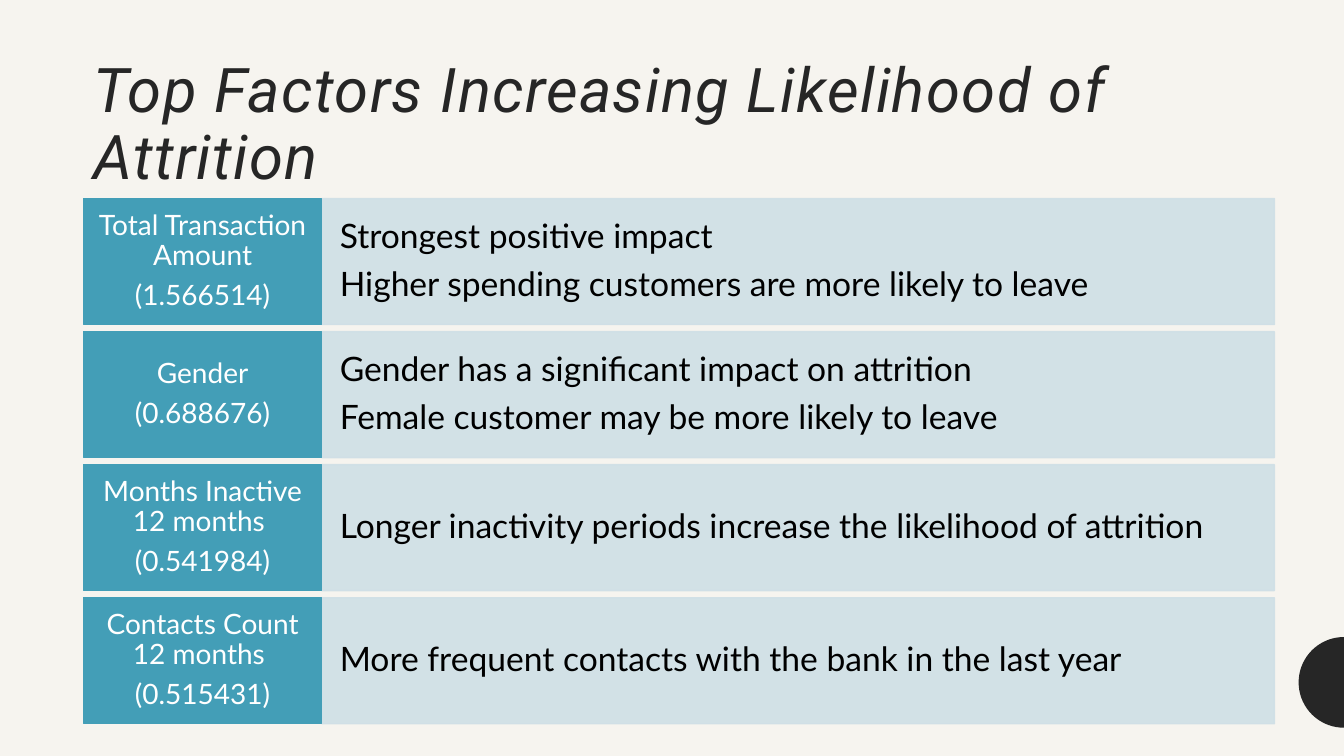
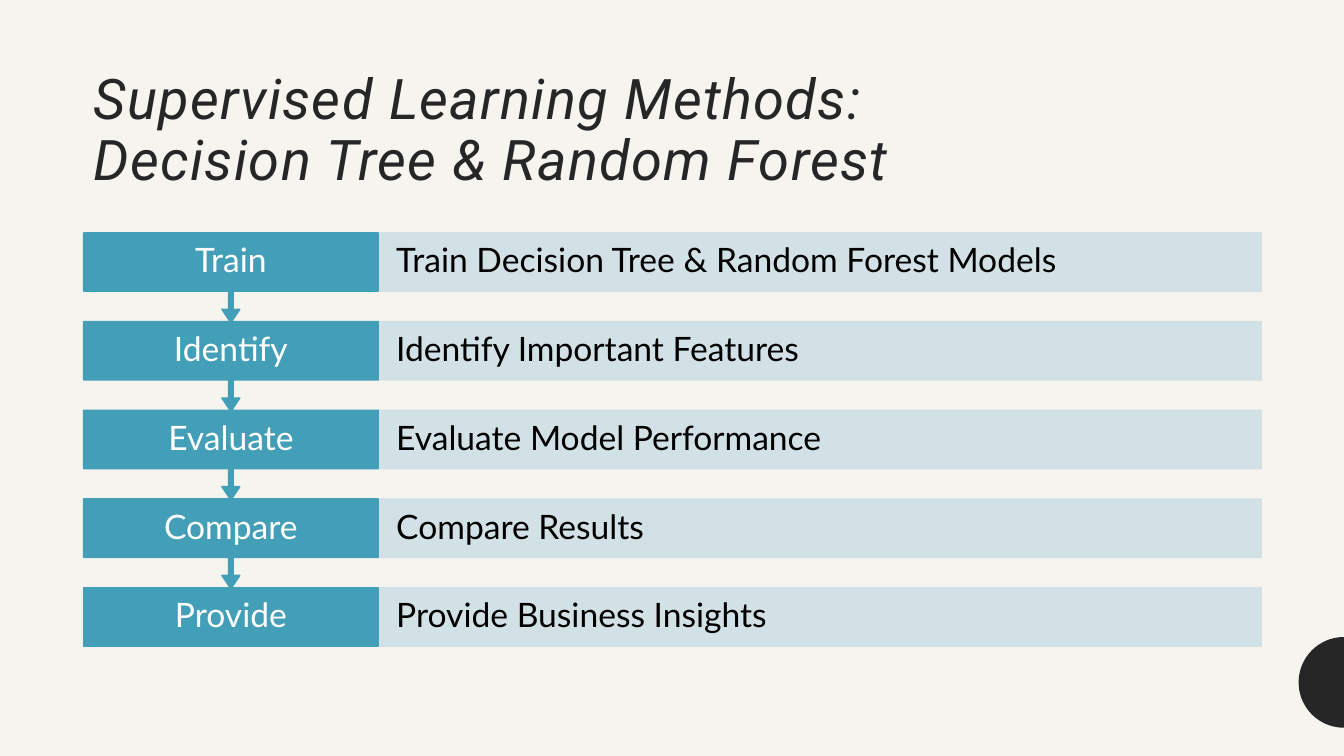
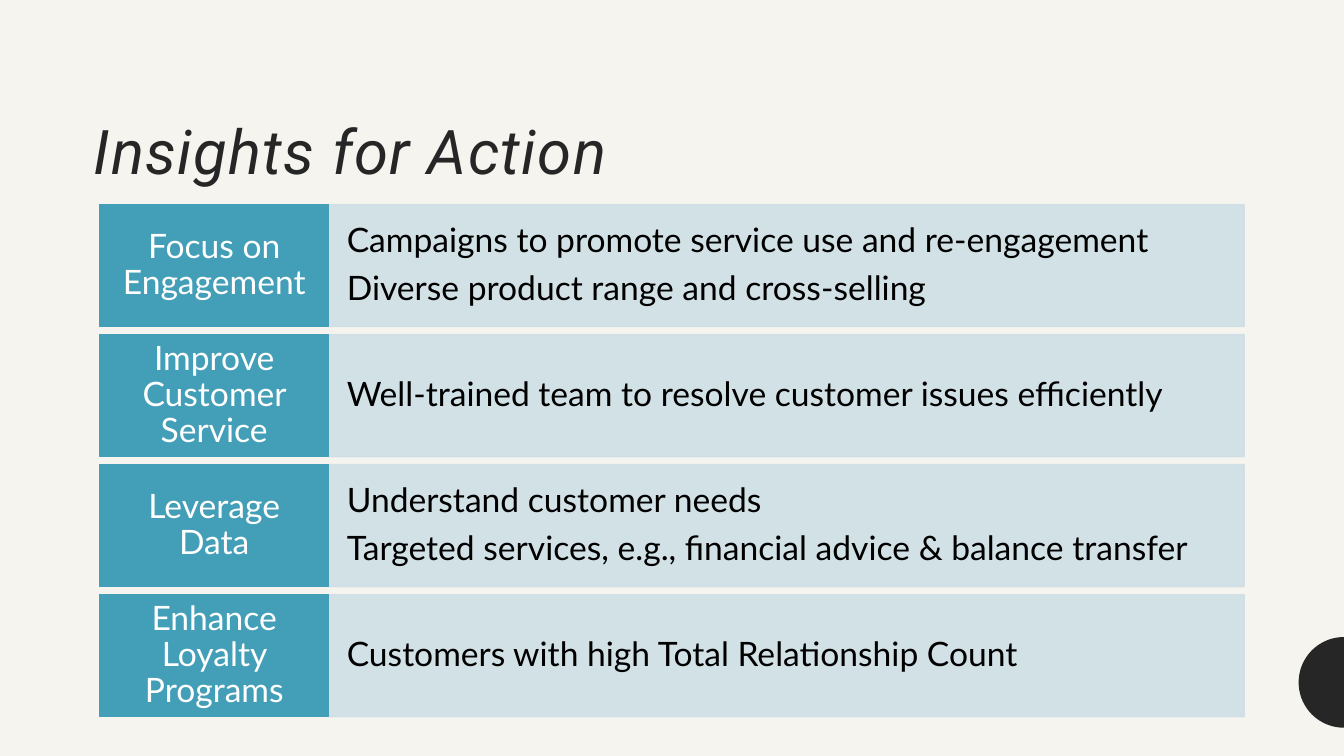
import math
from dataclasses import dataclass

from lxml import etree
from pptx import Presentation
from pptx import util as u
from pptx.dml import color
from pptx.enum import shapes, text
from pptx.oxml import ns

COLOURS = {
    "background": "F6F4EF",
    "ink": "262626",
    "label": "439EB7",
    "detail": "CFDFE6",
    "white": "FFFFFF",
    "black": "000000",
}
SLIDE_WIDTH, SLIDE_HEIGHT = 13.33, 7.5
TITLE_LEFT, TITLE_TOP, TITLE_WIDTH = 0.83, 0.46, 11.67
CIRCLE_MIDDLE, CIRCLE_RADIUS, CIRCLE_STEPS = 6.77, 0.45, 36
ARROW_ADJUSTMENTS = (0.05, 0.1, 0.15, 0.65)


@dataclass(frozen=True)
class Row:
    label: tuple[str, ...]
    details: tuple[str, ...]


@dataclass(frozen=True)
class RowLayout:
    left: float
    top: float
    label_width: float
    detail_width: float
    height: float
    pitch: float
    label_size: int = 24
    arrows: bool = False


@dataclass(frozen=True)
class Page:
    title: tuple[str, ...]
    title_size: int
    title_height: float
    layout: RowLayout
    rows: tuple[Row, ...]


PAGES = (
    Page(
        ("Top Factors Increasing Likelihood of Attrition",), 44, 1.5,
        RowLayout(0.83, 1.97, 2.36, 9.45, 1.25, 1.32, label_size=20),
        (
            Row(("Total Transaction Amount", "(1.566514)"),
                ("Strongest positive impact",
                 "Higher spending customers are more likely to leave")),
            Row(("Gender", "(0.688676)"),
                ("Gender has a significant impact on attrition",
                 "Female customer may be more likely to leave")),
            Row(("Months Inactive 12 months ", "(0.541984)"),
                ("Longer inactivity periods increase the likelihood of attrition",)),
            Row(("Contacts Count 12 months ", "(0.515431)"),
                ("More frequent contacts with the bank in the last year",)),
        ),
    ),
    Page(
        ("Supervised Learning Methods:", "Decision Tree & Random Forest"), 40, 1.5,
        RowLayout(0.83, 2.31, 2.92, 8.76, 0.58, 0.88, arrows=True),
        (
            Row(("Train",), ("Train Decision Tree & Random Forest Models",)),
            Row(("Identify",), ("Identify Important Features",)),
            Row(("Evaluate",), ("Evaluate Model Performance",)),
            Row(("Compare",), ("Compare Results",)),
            Row(("Provide",), ("Provide Business Insights",)),
        ),
    ),
    Page(
        ("Insights for Action",), 44, 1.45,
        RowLayout(0.99, 2.03, 2.27, 9.08, 1.21, 1.29),
        (
            Row(("Focus on Engagement",),
                ("Campaigns to promote service use and re-engagement",
                 "Diverse product range and cross-selling")),
            Row(("Improve Customer Service",),
                ("Well-trained team to resolve customer issues efficiently",)),
            Row(("Leverage Data",),
                ("Understand customer needs",
                 "Targeted services, e.g., financial advice & balance transfer")),
            Row(("Enhance Loyalty Programs",),
                ("Customers with high Total Relationship Count",)),
        ),
    ),
)


def rgb(name: str) -> color.RGBColor:
    return color.RGBColor.from_string(COLOURS[name])


def apply_format(target, values: dict) -> None:
    for name, value in values.items():
        setattr(target, name, value)


def paint(shape, colour: str, opacity: int = 100) -> None:
    shape.shadow.inherit = False
    shape.line.width = u.Pt(1)
    for fill in (shape.fill, shape.line.fill):
        fill.solid()
        fill.fore_color.rgb = rgb(colour)
    if opacity < 100:
        for node in shape.element.spPr.iter(ns.qn("a:srgbClr")):
            etree.SubElement(node, ns.qn("a:alpha")).set("val", str(opacity * 1000))


def write_lines(shape, lines: tuple[str, ...], size: int, colour: str,
                alignment, inset: float) -> None:
    frame = shape.text_frame
    apply_format(frame, {
        "word_wrap": True,
        "vertical_anchor": text.MSO_ANCHOR.MIDDLE,
        "margin_left": u.Inches(inset),
        "margin_right": u.Inches(inset),
        "margin_top": 0,
        "margin_bottom": 0,
    })
    for index, line in enumerate(lines):
        paragraph = frame.add_paragraph() if index else frame.paragraphs[0]
        apply_format(paragraph, {
            "alignment": alignment,
            "line_spacing": 0.9,
            "space_after": u.Pt(size * 0.35),
        })
        run = paragraph.add_run()
        run.text = line
        apply_format(run.font, {"name": "Lato", "size": u.Pt(size)})
        run.font.color.rgb = rgb(colour)


def add_title(slide, page: Page) -> None:
    box = slide.shapes.add_textbox(
        u.Inches(TITLE_LEFT), u.Inches(TITLE_TOP),
        u.Inches(TITLE_WIDTH), u.Inches(page.title_height))
    apply_format(box.text_frame, {
        "word_wrap": True, "vertical_anchor": text.MSO_ANCHOR.BOTTOM})
    paragraph = box.text_frame.paragraphs[0]
    paragraph.line_spacing = 0.9
    for index, line in enumerate(page.title):
        if index:
            paragraph.add_line_break()
        run = paragraph.add_run()
        run.text = line
        apply_format(run.font, {
            "name": "Roboto", "size": u.Pt(page.title_size), "italic": True})
        run.font.color.rgb = rgb("ink")
        run.font._element.set("spc", "100")


def add_half_circle(slide) -> None:
    angles = [math.pi * (0.5 + step / CIRCLE_STEPS) for step in range(CIRCLE_STEPS + 1)]
    points = [
        (u.Inches(SLIDE_WIDTH + CIRCLE_RADIUS * math.cos(angle)),
         u.Inches(CIRCLE_MIDDLE + CIRCLE_RADIUS * math.sin(angle)))
        for angle in angles
    ]
    builder = slide.shapes.build_freeform(*points[0])
    builder.add_line_segments(points[1:], close=True)
    half_circle = builder.convert_to_shape()
    paint(half_circle, "ink")
    half_circle.line.fill.background()


def add_row(slide, row: Row, layout: RowLayout, top: float, arrow: bool) -> None:
    detail = slide.shapes.add_shape(
        shapes.MSO_SHAPE.RECTANGLE,
        u.Inches(layout.left + layout.label_width), u.Inches(top),
        u.Inches(layout.detail_width), u.Inches(layout.height))
    paint(detail, "detail", 90)
    write_lines(detail, row.details, 24, "black", text.PP_ALIGN.LEFT, 0.18)

    kind = shapes.MSO_SHAPE.DOWN_ARROW_CALLOUT if arrow else shapes.MSO_SHAPE.RECTANGLE
    height = layout.height / ARROW_ADJUSTMENTS[-1] if arrow else layout.height
    label = slide.shapes.add_shape(
        kind, u.Inches(layout.left), u.Inches(top),
        u.Inches(layout.label_width), u.Inches(height))
    if arrow:
        for index, value in enumerate(ARROW_ADJUSTMENTS):
            label.adjustments[index] = value
    paint(label, "label")
    write_lines(label, row.label, layout.label_size, "white",
                text.PP_ALIGN.CENTER, 0.12)


def add_page(presentation, page: Page) -> None:
    slide = presentation.slides.add_slide(presentation.slide_layouts[6])
    add_half_circle(slide)
    add_title(slide, page)
    last = len(page.rows) - 1
    for index, row in enumerate(page.rows):
        top = page.layout.top + index * page.layout.pitch
        add_row(slide, row, page.layout, top, page.layout.arrows and index < last)


def main() -> None:
    presentation = Presentation()
    presentation.slide_width = u.Inches(SLIDE_WIDTH)
    presentation.slide_height = u.Inches(SLIDE_HEIGHT)
    background = presentation.slide_master.background.fill
    background.solid()
    background.fore_color.rgb = rgb("background")
    for page in PAGES:
        add_page(presentation, page)
    presentation.save("out.pptx")


if __name__ == "__main__":
    main()
